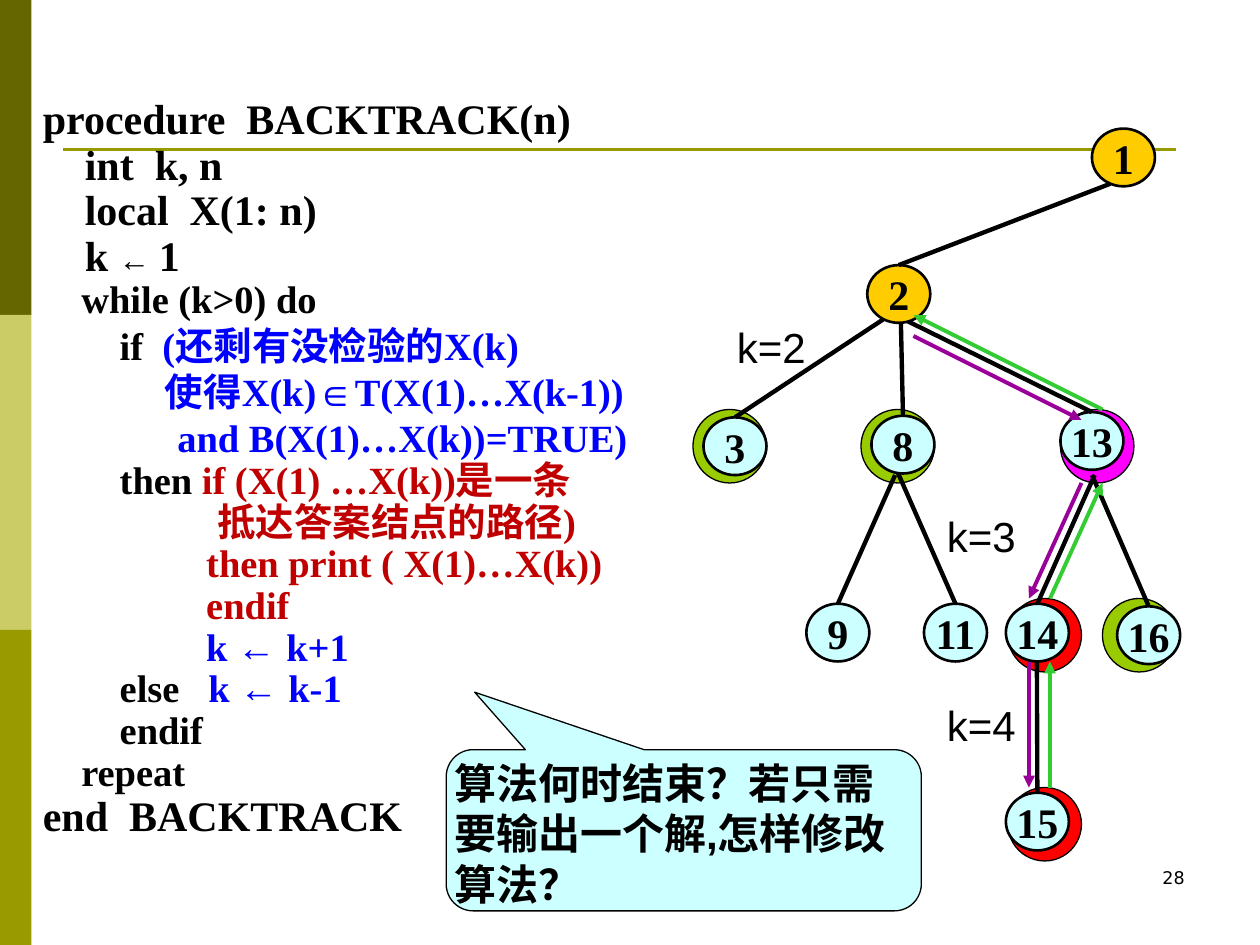
from pptx import Presentation
from pptx.dml.color import RGBColor
from pptx.enum.shapes import MSO_CONNECTOR, MSO_SHAPE
from pptx.enum.text import MSO_ANCHOR, PP_ALIGN
from pptx.oxml.ns import qn
from pptx.util import Inches, Pt
from lxml.etree import SubElement

THEME = {
    "black": "000000", "blue": "0000FF", "crimson": "C00000", "red": "FF0000",
    "olive": "666600", "khaki": "CCCC66", "moss": "999900", "lime": "99CC00",
    "gold": "FFCC00", "ice": "CCFFFF", "magenta": "FF00FF",
    "down": "990099", "up": "33CC33",
    "serif": "Times New Roman", "sans": "Arial", "number": "DejaVu Sans",
    "large": 24, "code": 22, "small": 18, "page": 10,
}
COLS, ROWS = 120, 90  # grid cells across and down the slide

BANDS = ["olive", "khaki", "moss"]
PAGE = "28"
QUESTION = "算法何时结束？若只需要输出一个解,怎样修改算法？"

# (size, space before, leading spaces, runs); a run is (text, colour)
CODE = [
    ("large", 0, 0, [("procedure  BACKTRACK(n)", "black")]),
    ("large", 1.5, 4, [("int  k, n", "black")]),
    ("large", 1.5, 4, [("local  X(1: n)", "black")]),
    ("large", 1.5, 4, [("k ", "black"), ("← ", "black"), ("1", "black")]),
    ("code", 1.4, 4, [("while (k>0) do", "black")]),
    ("code", 4.1, 8, [("if  ", "black"), ("(还剩有没检验的X(k)", "blue")]),
    ("code", 4.1, 14, [("使得X(k)∈T(X(1)…X(k-1))", "blue")]),
    ("code", 4.1, 14, [("and B(X(1)…X(k))=TRUE)", "blue")]),
    ("code", 1.4, 8, [("then", "black"), (" if (X(1) …X(k))是一条", "crimson")]),
    ("code", 1.4, 20, [("抵达答案结点的路径)", "crimson")]),
    ("code", 1.4, 17, [("then print ( X(1)…X(k))", "crimson")]),
    ("code", 1.4, 17, [("endif", "crimson")]),
    ("code", 1.4, 17, [("k ", "blue"), ("← ", "blue"), ("k+1", "blue")]),
    ("code", 1.4, 8, [("else   ", "black"), ("k ", "blue"), ("← ", "blue"), ("k-1", "blue")]),
    ("code", 1.4, 8, [("endif", "black")]),
    ("code", 1.4, 4, [("repeat", "black")]),
    ("large", 1.5, 0, [("end  BACKTRACK", "black")]),
]

HALO_SIZE = 7
HALOS = [(66, 39, "lime"), (105, 57, "lime"), (96, 75, "red"),
         (96, 57, "red"), (101, 39, "magenta"), (82, 39, "lime")]

NODE_W, NODE_H = 6, 5.5
# label, column, row, fill, point where the edge leaves the parent
NODES = [
    ("13", 101, 39.25, "ice", (86.25, 30.5)),
    ("15", 95.8, 75.5, "ice", (98.75, 63)),
    ("1", 104, 12.25, "gold", None),
    ("3", 67, 39.75, "ice", (84.75, 30)),
    ("2", 82.6, 25.25, "gold", (105.75, 17.5)),
    ("11", 88, 57.5, "ice", (85.5, 45)),
    ("9", 76.8, 57.5, "ice", (85.25, 45.25)),
    ("8", 83, 39.6, "ice", (85.8, 30.75)),
    ("14", 95.8, 57.5, "ice", (104.25, 45.25)),
    ("16", 106.4, 57.75, "ice", (104, 45.25)),
]
LEVELS = [("k=2", 69, 30), ("k=3", 89, 48), ("k=4", 89, 66)]
MOVES = [
    ("down", (103, 46), (98, 57)), ("down", (98, 63), (98, 75)),
    ("up", (100, 75), (100, 63)), ("up", (100, 57), (105, 46)),
    ("up", (105, 39), (87, 30)), ("down", (87, 32), (103, 40)),
]

prs = Presentation()
prs.slide_width, prs.slide_height = Inches(10), Inches(7.5)
s = prs.slides.add_slide(prs.slide_layouts[6])


def color(name):
    return RGBColor.from_string(THEME[name])


def grid(x, y):
    return round(prs.slide_width * x / COLS), round(prs.slide_height * y / ROWS)


def add_run(p, text, size, font, name="black", bold=False):
    r = p.add_run()
    r.text = text
    style = {"size": Pt(THEME[size]), "name": THEME[font], "bold": bold}
    for key, value in style.items():
        setattr(r.font, key, value)
    r.font.color.rgb = color(name)


def add_box(x, y, w, h):
    tf = s.shapes.add_textbox(*grid(x, y), *grid(w, h)).text_frame
    tf.word_wrap = True
    return tf


def add_shape(kind, x, y, w, h, fill, width=None):
    sp = s.shapes.add_shape(kind, *grid(x, y), *grid(w, h))
    sp.shadow.inherit = False
    sp.fill.solid()
    sp.fill.fore_color.rgb = color(fill)
    if width:
        sp.line.color.rgb = color("black")
        sp.line.width = Pt(width)
    else:
        sp.line.fill.background()
    return sp


def add_line(start, end, name, width, arrow=False):
    line = s.shapes.add_connector(MSO_CONNECTOR.STRAIGHT, *grid(*start), *grid(*end))
    line.line.color.rgb = color(name)
    line.line.width = Pt(width)
    if arrow:
        SubElement(line.line._get_or_add_ln(), qn("a:tailEnd"), type="triangle")
    SubElement(line._element.spPr, qn("a:effectLst"))
    return line


def add_node(label, x, y, fill, start):
    """Draw a tree node and the edge that reaches its top."""
    sp = add_shape(MSO_SHAPE.OVAL, x, y, NODE_W, NODE_H, fill, 1.5)
    tf = sp.text_frame
    tf.word_wrap = False
    tf.vertical_anchor = MSO_ANCHOR.MIDDLE
    p = tf.paragraphs[0]
    p.alignment = PP_ALIGN.CENTER
    add_run(p, label, "large", "serif", bold=True)
    if start:
        add_line(start, (x + NODE_W / 2, y), "black", 2.5).end_connect(sp, 0)


def add_code():
    tf = add_box(2.9, 9, 110, 72)
    for i, (size, before, indent, runs) in enumerate(CODE):
        p = tf.paragraphs[0] if i == 0 else tf.add_paragraph()
        p.line_spacing = 0.85
        p.space_before = Pt(before)
        for j, (text, name) in enumerate(runs):
            arrow = text.startswith("←")
            run_size = "small" if arrow and size == "large" else size
            lead = " " * indent if j == 0 else ""
            add_run(p, lead + text, run_size, "sans" if arrow else "serif", name, True)


def add_question():
    sp = add_shape(MSO_SHAPE.ROUNDED_RECTANGULAR_CALLOUT, 42.5, 71.4, 45.25, 15.35, "ice", 0.75)
    for i, value in enumerate((-0.44, -0.857, 0.167)):
        sp.adjustments[i] = value
    tf = sp.text_frame
    tf.word_wrap = True
    tf.vertical_anchor = MSO_ANCHOR.TOP
    for side in ("left", "top", "right", "bottom"):
        setattr(tf, f"margin_{side}", 0)
    p = tf.paragraphs[0]
    p.alignment = PP_ALIGN.LEFT
    add_run(p, QUESTION, "large", "sans", bold=True)


band_h = ROWS / len(BANDS)
for i, fill in enumerate(BANDS):
    add_shape(MSO_SHAPE.RECTANGLE, 0, i * band_h, 3, band_h, fill)
add_line((6, 14.25), (112, 14.25), "moss", 1.5)

p = add_box(86, 82, 28, 6).paragraphs[0]
p.alignment = PP_ALIGN.RIGHT
add_run(p, PAGE, "page", "number")

for x, y, fill in HALOS:
    add_shape(MSO_SHAPE.OVAL, x, y, HALO_SIZE, HALO_SIZE, fill, 0.75)
for node in NODES:
    add_node(*node)
add_code()
for text, x, y in LEVELS:
    add_run(add_box(x, y, 11, 6).paragraphs[0], text, "large", "sans")
for name, start, end in MOVES:
    add_line(start, end, name, 2.25, arrow=True)
add_question()

prs.save("out.pptx")
